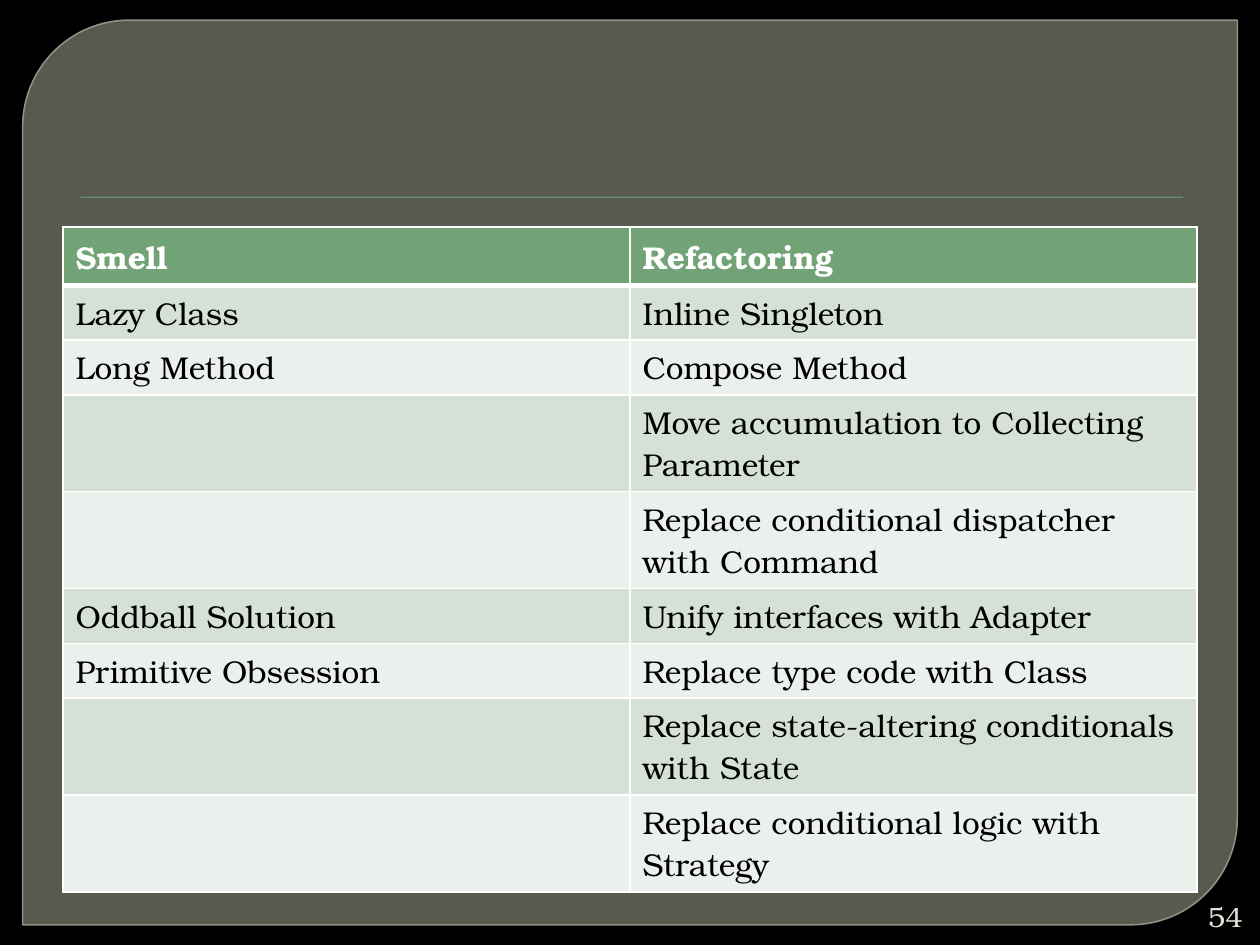
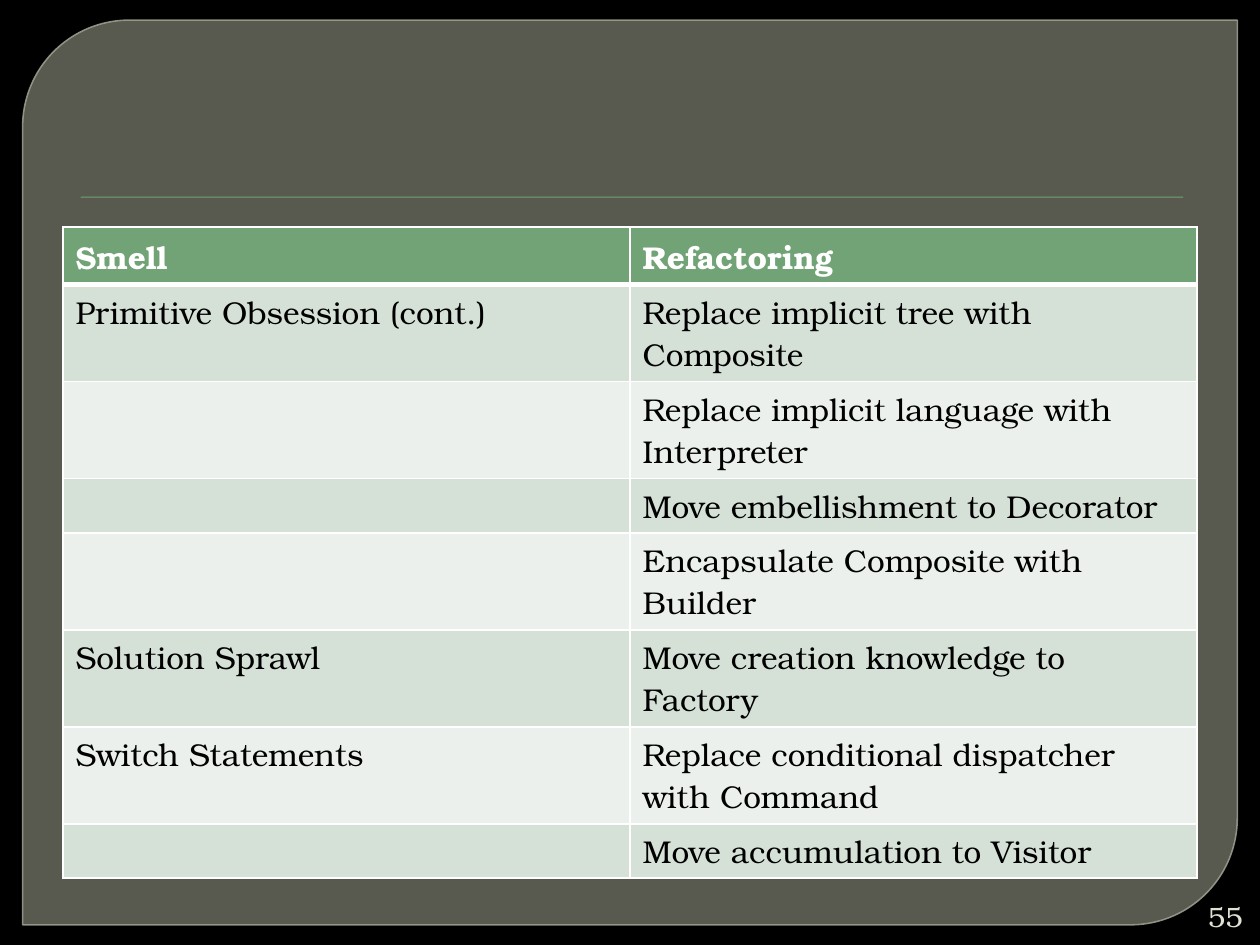
"""Build two slides that match code smells with refactorings."""
from lxml import etree
from pptx import Presentation
from pptx.dml.color import RGBColor
from pptx.enum.shapes import MSO_SHAPE
from pptx.enum.text import MSO_ANCHOR, PP_ALIGN
from pptx.oxml.ns import qn
from pptx.util import Inches, Pt

PANEL_SHAPE = MSO_SHAPE.ROUND_2_DIAG_RECTANGLE
RULE_SHAPE = MSO_SHAPE.RECTANGLE
MIDDLE = MSO_ANCHOR.MIDDLE
LEFT, RIGHT = PP_ALIGN.LEFT, PP_ALIGN.RIGHT

HEADINGS = ("Smell", "Refactoring")
PAGES = {
    54: [
        ("Lazy Class", "Inline Singleton"),
        ("Long Method", "Compose Method"),
        ("", "Move accumulation to Collecting Parameter"),
        ("", "Replace conditional dispatcher with Command"),
        ("Oddball Solution", "Unify interfaces with Adapter"),
        ("Primitive Obsession", "Replace type code with Class"),
        ("", "Replace state-altering conditionals with State"),
        ("", "Replace conditional logic with Strategy"),
    ],
    55: [
        ("Primitive Obsession (cont.)", "Replace implicit tree with Composite"),
        ("", "Replace implicit language with Interpreter"),
        ("", "Move embellishment to Decorator"),
        ("", "Encapsulate Composite with Builder"),
        ("Solution Sprawl", "Move creation knowledge to Factory"),
        ("Switch Statements", "Replace conditional dispatcher with Command"),
        ("", "Move accumulation to Visitor"),
    ],
}

FONT = "TeX Gyre Bonum"
BLACK, WHITE, GREEN = "000000", "FFFFFF", "72A376"
BANDS = ("D5E0D6", "EBF0EC")
PANEL, PANEL_EDGE, PAGE_NUMBER = "888B7B", "9DA090", "E0E0D4"
COLUMN_WIDTH, LINE_CHARACTERS = 4.5, 32
HEADING_HEIGHT, ONE_LINE_HEIGHT, TWO_LINE_HEIGHT = 0.46, 0.43, 0.77


def rgb(color):
    return RGBColor.from_string(color)


def paint(fill, color):
    fill.solid()
    fill.fore_color.rgb = rgb(color)


def add_alpha(color_value, alpha):
    etree.SubElement(color_value, qn("a:alpha"), val=str(alpha * 1000))


def set_alpha(properties, alpha):
    add_alpha(properties.find(qn("a:solidFill")).find(qn("a:srgbClr")), alpha)


def write(frame, text, size=18, color=BLACK, bold=False, align=LEFT):
    paragraph = frame.paragraphs[0]
    paragraph.alignment = align
    run = paragraph.add_run()
    run.text = text
    run.font.name = FONT
    run.font.size = Pt(size)
    run.font.bold = bold
    run.font.color.rgb = rgb(color)


def add_filled(slide, preset, box, color):
    shape = slide.shapes.add_shape(preset, *map(Inches, box))
    shape.shadow.inherit = False
    paint(shape.fill, color)
    return shape


def add_frame(slide):
    paint(slide.background.fill, BLACK)
    panel = add_filled(slide, PANEL_SHAPE, (0.18, 0.16, 9.64, 7.18), PANEL)
    panel.adjustments[0] = 0.118
    panel.adjustments[1] = 0
    panel.line.width = Pt(0.87)
    paint(panel.line.fill, PANEL_EDGE)
    properties = panel.element.spPr
    set_alpha(properties, 65)
    set_alpha(properties.find(qn("a:ln")), 88)

    rule = add_filled(slide, RULE_SHAPE, (0.64, 1.56, 8.75, 0.01), GREEN)
    rule.line.fill.background()
    effects = rule.element.spPr.find(qn("a:effectLst"))
    shadow = etree.SubElement(effects, qn("a:outerShdw"), blurRad=str(Pt(1)),
                              dist=str(Pt(1)), dir="5400000")
    add_alpha(etree.SubElement(shadow, qn("a:srgbClr"), val=BLACK), 75)


def add_borders(cell, top, bottom):
    properties = cell._tc.get_or_add_tcPr()
    for side, width in (("L", 1), ("R", 1), ("T", top), ("B", bottom)):
        border = etree.SubElement(properties, qn(f"a:ln{side}"), w=str(Pt(width)))
        fill = etree.SubElement(border, qn("a:solidFill"))
        etree.SubElement(fill, qn("a:srgbClr"), val=WHITE)


def row_height(pair):
    if pair == HEADINGS:
        return HEADING_HEIGHT
    wraps = max(map(len, pair)) > LINE_CHARACTERS
    return TWO_LINE_HEIGHT if wraps else ONE_LINE_HEIGHT


def add_refactorings(slide, pairs):
    rows = [HEADINGS, *pairs]
    heights = [row_height(pair) for pair in rows]
    table = slide.shapes.add_table(
        len(rows), len(HEADINGS), Inches(0.5), Inches(1.8),
        Inches(COLUMN_WIDTH * len(HEADINGS)), Inches(sum(heights))).table
    for column in table.columns:
        column.width = Inches(COLUMN_WIDTH)
    for i, (pair, height) in enumerate(zip(rows, heights)):
        table.rows[i].height = Inches(height)
        heading = i == 0
        for j, text in enumerate(pair):
            cell = table.cell(i, j)
            add_borders(cell, top=3 if i == 1 else 1, bottom=3 if heading else 1)
            paint(cell.fill, GREEN if heading else BANDS[(i - 1) % 2])
            if text:
                write(cell.text_frame, text, bold=heading,
                      color=WHITE if heading else BLACK)


def add_page_number(slide, number):
    frame = slide.shapes.add_textbox(
        *map(Inches, (9.45, 7.12, 0.51, 0.3))).text_frame
    frame.word_wrap = True
    frame.vertical_anchor = MIDDLE
    write(frame, str(number), size=16, color=PAGE_NUMBER, align=RIGHT)


def main():
    deck = Presentation()
    deck.slide_width, deck.slide_height = Inches(10), Inches(7.5)
    for number, pairs in PAGES.items():
        slide = deck.slides.add_slide(deck.slide_layouts[6])
        add_frame(slide)
        add_refactorings(slide, pairs)
        add_page_number(slide, number)
    deck.save("out.pptx")


if __name__ == "__main__":
    main()
